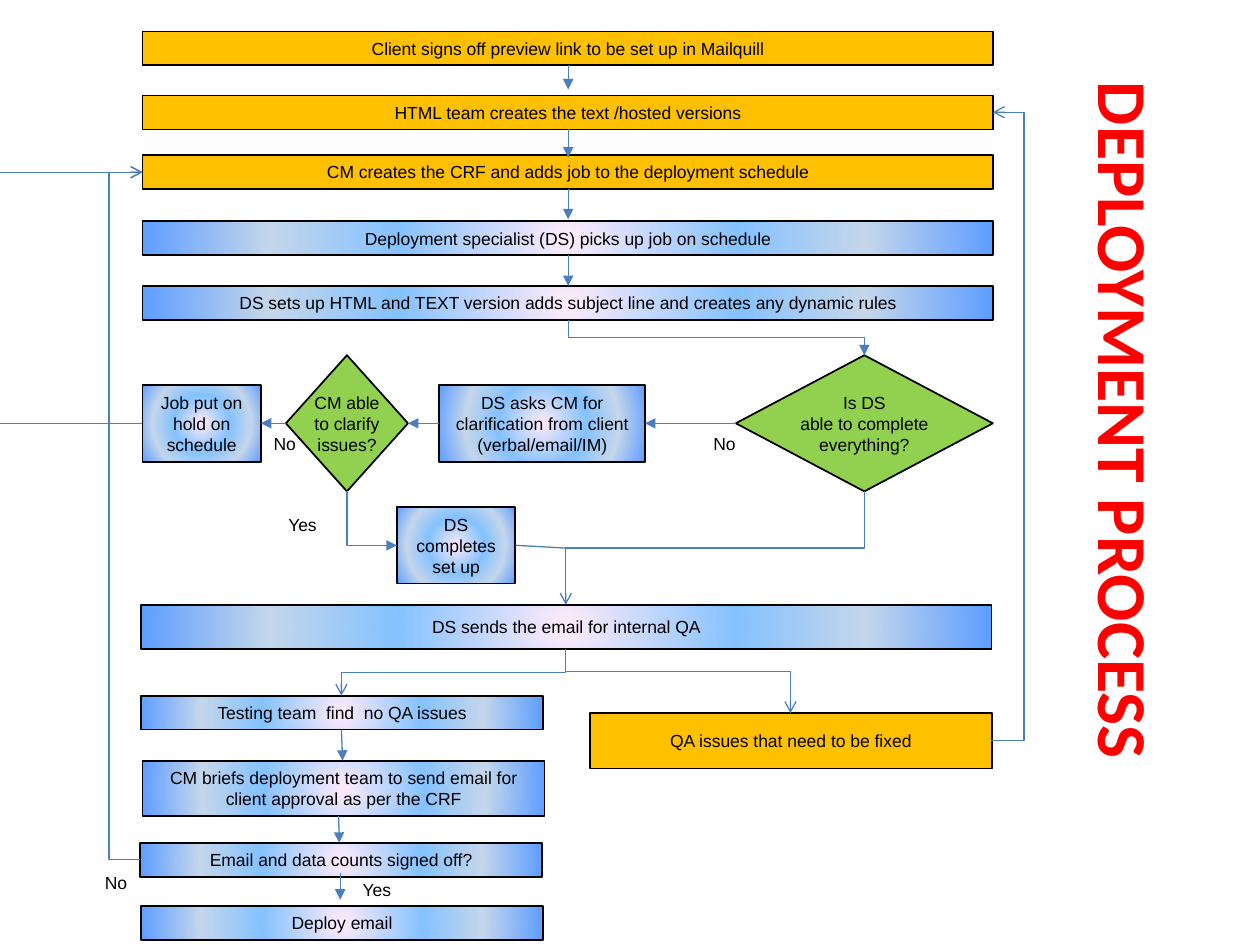
import pptx
import pptx.dml.color
import pptx.enum.shapes
import pptx.enum.text
import pptx.oxml
import pptx.oxml.ns
import pptx.util
from lxml import etree

Pt = pptx.util.Pt
qn = pptx.oxml.ns.qn
SHAPE = pptx.enum.shapes.MSO_SHAPE
CONNECTOR = pptx.enum.shapes.MSO_CONNECTOR
ALIGN = pptx.enum.text.PP_ALIGN
ANCHOR = pptx.enum.text.MSO_ANCHOR

AMBER, GREEN, BLACK, RED, LINE = "FFC000", "92D050", "000000", "FF0000", "4B7EBC"
GLOW = [(0, "FFEBFA"), (40, "85C2FF"), (70, "C4D6EB"), (100, "5E9EFF")]
LEFT, WIDE, HALF, ROW = 81.4, 486, 229.7, 19.4
MAIN_X, BRANCH_Y = 324.7, 241.9


def rgb(value):
    """Turn a hex string into a colour."""
    return pptx.dml.color.RGBColor.from_string(value)


def write(tf, text, size=10, font="Arial", color=BLACK, bold=False,
          align=ALIGN.CENTER, anchor=ANCHOR.MIDDLE, wrap=True):
    """Fill a text frame, one paragraph for each line of text."""
    tf.word_wrap = wrap
    tf.vertical_anchor = anchor
    for i, line in enumerate(text.split("\n")):
        p = tf.paragraphs[0] if i == 0 else tf.add_paragraph()
        p.alignment = align
        r = p.add_run()
        r.text = line
        r.font.size, r.font.name, r.font.bold = Pt(size), font, bold
        r.font.color.rgb = rgb(color)


def glow(sp):
    """Give a shape the radial blue gradient."""
    sp.fill.solid()
    spPr = sp._element.spPr
    grad = pptx.oxml.parse_xml(
        '<a:gradFill %s rotWithShape="1"><a:gsLst/><a:path path="circle">'
        '<a:fillToRect l="50000" t="50000" r="50000" b="50000"/></a:path>'
        '</a:gradFill>' % pptx.oxml.ns.nsdecls("a"))
    for pos, color in GLOW:
        gs = etree.SubElement(grad[0], qn("a:gs"), pos=str(pos * 1000))
        etree.SubElement(gs, qn("a:srgbClr"), val=color)
    spPr.replace(spPr.find(qn("a:solidFill")), grad)


def step(slide, text, x, y, w, h, fill=None, kind=SHAPE.RECTANGLE, wrap=True):
    """Add a process box; without a fill colour it gets the gradient."""
    sp = slide.shapes.add_shape(kind, Pt(x), Pt(y), Pt(w), Pt(h))
    sp.shadow.inherit = False
    if fill:
        sp.fill.solid()
        sp.fill.fore_color.rgb = rgb(fill)
    else:
        glow(sp)
    sp.line.color.rgb = rgb(BLACK)
    sp.line.width = Pt(1)
    write(sp.text_frame, text, wrap=wrap)


def label(slide, text, x, y, w):
    """Add a branch label."""
    sp = slide.shapes.add_textbox(Pt(x), Pt(y), Pt(w), Pt(ROW))
    write(sp.text_frame, text, anchor=ANCHOR.TOP, wrap=False)


def link(slide, x1, y1, x2, y2, head="triangle", kind=CONNECTOR.STRAIGHT):
    """Add a connector with an optional arrowhead at its end."""
    sp = slide.shapes.add_connector(kind, Pt(x1), Pt(y1), Pt(x2), Pt(y2))
    sp.line.color.rgb = rgb(LINE)
    sp.line.width = Pt(0.75)
    if head:
        etree.SubElement(sp.line._get_or_add_ln(), qn("a:tailEnd"), type=head)
    etree.SubElement(sp._element.spPr, qn("a:effectLst"))
    return sp


def elbow(slide, x1, y1, x2, y2, head="arrow", down=False, corner=False, via=None):
    """Add a bent connector; down starts it vertically, corner gives one bend."""
    ends = x1, y1, x2, y2
    if down:
        cx, cy = (x1 + x2) / 2, (y1 + y2) / 2
        w, h = (y2 - y1) / 2, (x1 - x2) / 2
        ends = cx - w, cy - h, cx + w, cy + h
    sp = link(slide, *ends, head=head, kind=CONNECTOR.ELBOW)
    geom = sp._element.spPr.find(qn("a:prstGeom"))
    if down:
        sp._element.spPr.find(qn("a:xfrm")).set("rot", "5400000")
    if corner:
        geom.set("prst", "bentConnector2")
    if via is not None:
        adj = round((via - x1) / (x2 - x1) * 100000)
        etree.SubElement(geom.find(qn("a:avLst")), qn("a:gd"),
                         name="adj1", fmla="val %d" % adj)


def add_title(slide, text):
    """Set the title sideways along the right edge."""
    sp = slide.shapes.title
    sp.left, sp.top, sp.width, sp.height = Pt(337.7), Pt(311.8), Pt(612), Pt(67.7)
    sp.rotation = 90
    write(sp.text_frame, text, size=40, font="Calibri", color=RED, bold=True,
          align=ALIGN.LEFT)
    sp.text_frame.auto_size = pptx.enum.text.MSO_AUTO_SIZE.NONE


def add_steps(slide):
    """Add all boxes, decisions and labels."""
    for text, y, fill in [
            ("Client signs off preview link to be set up in Mailquill", 18, AMBER),
            ("HTML team creates the text /hosted versions", 54.6, AMBER),
            ("CM creates the CRF and adds job to the deployment schedule", 88.6, AMBER),
            ("Deployment specialist (DS) picks up job on schedule", 126.5, None),
            ("DS sets up HTML and TEXT version adds subject line "
             "and creates any dynamic rules", 163.4, None)]:
        step(slide, text, LEFT, y, WIDE, ROW, fill)
    for text, x, y, w, h, fill in [
            ("Job put on hold on schedule", LEFT, 219.9, 67.7, 43.9, None),
            ("DS asks CM for clarification from client (verbal/email/IM)",
             251, 219.9, 117.6, 43.9, None),
            ("DS completes set up", 226.8, 289.6, 67.7, 43.9, None),
            ("DS sends the email for internal QA", 80.6, 345.6, WIDE, 25.2, None),
            ("Testing team  find  no QA issues", 80.6, 397.6, HALF, ROW, None),
            ("CM briefs deployment team to send email for client approval "
             "as per the CRF", LEFT, 434.7, HALF, 31.7, None),
            ("QA issues that need to be fixed", 337, 407.5, HALF, 31.7, AMBER),
            ("Email and data counts signed off?", 80, 481.6, HALF, ROW, None),
            ("Deploy email", 80.6, 517.7, HALF, ROW, None)]:
        step(slide, text, x, y, w, h, fill)
    for text, x, w in [("Is DS\nable to complete\neverything?", 420.5, 146.9),
                       ("CM able\nto clarify\nissues?", 163.4, 69.8)]:
        step(slide, text, x, 203, w, 77.8, GREEN, SHAPE.FLOWCHART_DECISION, False)
    for text, x, y, w in [("No", 400.3, 244.1, 27.4), ("No", 149, 244.1, 27.4),
                          ("Yes", 157, 290.2, 31.7), ("Yes", 198, 499, 34.6),
                          ("No", 52.6, 494.6, 27.4)]:
        label(slide, text, x, y, w)


def add_links(slide):
    """Add all arrows between the steps."""
    for y1, y2 in [(37.4, 51.1), (74, 90), (108, 125.3), (145.9, 163.4)]:
        link(slide, MAIN_X, y1, MAIN_X, y2)
    for x1, x2 in [(420.5, 368.6), (251, 233.2), (163.4, 149.1)]:
        link(slide, x1, BRANCH_Y, x2, BRANCH_Y)
    for x1, y1, x2, y2 in [(195.1, 417, 195.8, 434.7), (193.5, 466.4, 193.9, 481.6),
                           (194.4, 499, 194.4, 514.1)]:
        link(slide, x1, y1, x2, y2)
    link(slide, 323.3, 313.2, 294.5, 311.6, head=None)
    link(slide, LEFT, BRANCH_Y, 0, BRANCH_Y, head=None)
    link(slide, 0, 98.4, LEFT, 98.4, head="arrow")
    elbow(slide, MAIN_X, 182.8, 493.9, 203, head="triangle", down=True)
    elbow(slide, 198.3, 280.8, 226.8, 311.6, head="triangle", down=True, corner=True)
    elbow(slide, 493.9, 280.8, 323.3, 345.6, down=True)
    elbow(slide, 323.3, 370.8, 195.1, 397.6, down=True)
    elbow(slide, 323.3, 383.6, 451.7, 407.5, corner=True)
    elbow(slide, 80, 491.3, LEFT, 98.4, via=62.2)
    elbow(slide, 566.6, 423.3, 567.4, 64.2, via=585.4)


def main():
    """Build the slide and save it."""
    prs = pptx.Presentation()
    prs.slide_width, prs.slide_height = Pt(720), Pt(540)
    slide = prs.slides.add_slide(prs.slide_layouts[5])
    add_title(slide, "DEPLOYMENT PROCESS")
    add_steps(slide)
    add_links(slide)
    prs.save("out.pptx")


main()
